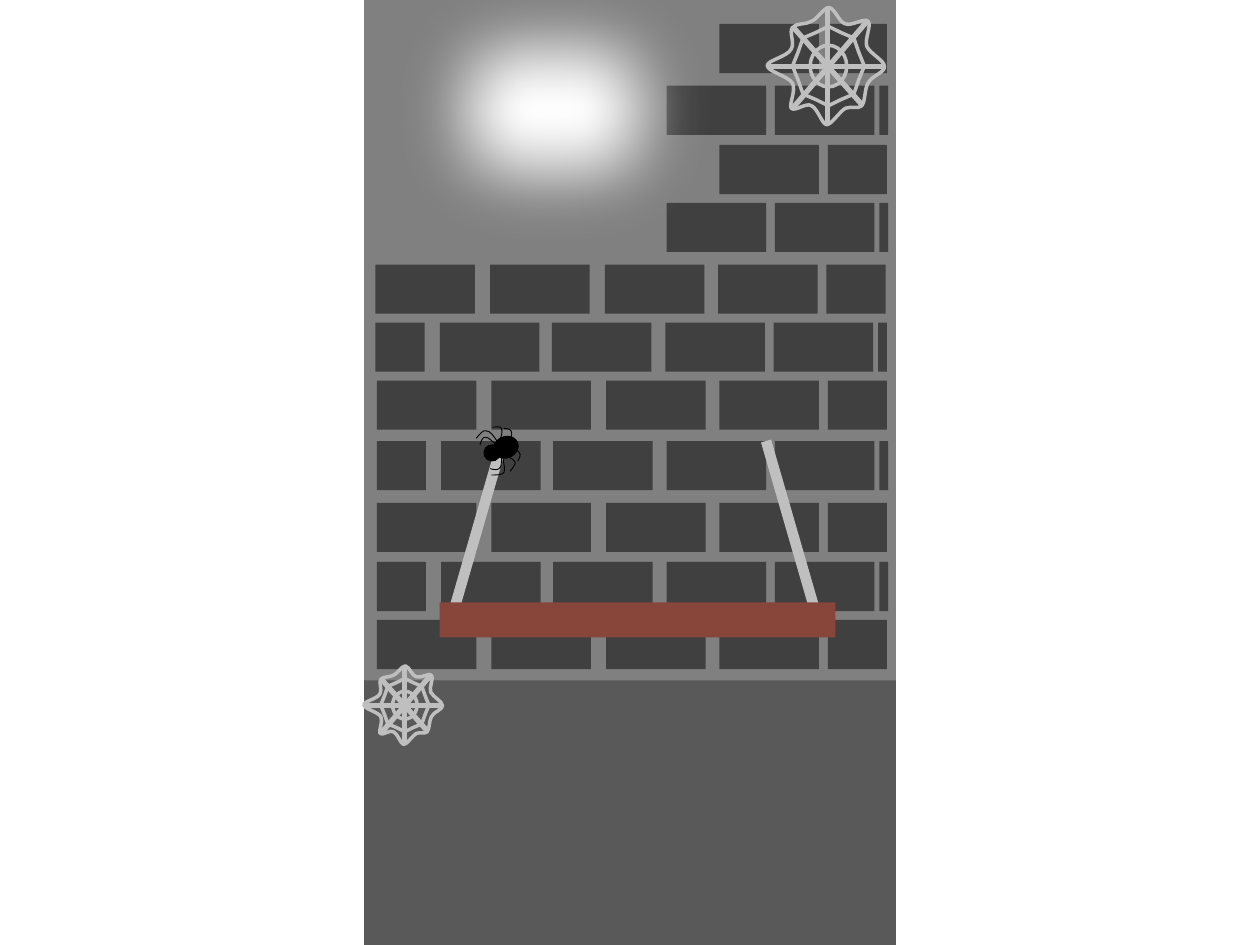
from pptx import Presentation
from pptx.dml.color import RGBColor
from pptx.enum.shapes import MSO_CONNECTOR, MSO_SHAPE
from pptx.oxml import parse_xml
from pptx.oxml.ns import nsdecls, qn
from pptx.util import Inches, Pt
from lxml import etree

MORTAR = RGBColor(0x80, 0x80, 0x80)
FLOOR = RGBColor(0x59, 0x59, 0x59)
BRICK = RGBColor(0x40, 0x40, 0x40)
SILK = RGBColor(0xBF, 0xBF, 0xBF)
WOOD = RGBColor(0x88, 0x46, 0x3A)
WHITE = RGBColor(0xFF, 0xFF, 0xFF)
BLACK = RGBColor(0, 0, 0)

STRAIGHT_ROW = [(2.99, 0.79), (3.9, 0.79), (4.81, 0.79), (5.71, 0.79), (6.57, 0.47)]
OFFSET_ROW = [(2.99, 0.39), (3.5, 0.79), (4.39, 0.79), (5.29, 0.79),
              (6.15, 0.79), (6.98, 0.07)]
ROW_TOPS = [4.92, 4.46, 3.99, 3.5, 3.02, 2.56, 2.1, 1.15, 1.61, 0.19, 0.68]
ROW_TOPS = sorted(ROW_TOPS, reverse=True)
WINDOW_BOTTOM = 2
WINDOW_RIGHT = 5.2

WEB_RIM = [
    (-0.28, -0.31), (-0.25, -0.35), (-0.18, -0.33), (-0.13, -0.36),
    (-0.08, -0.38), (-0.03, -0.47), (0.01, -0.47), (0.06, -0.46),
    (0.09, -0.35), (0.14, -0.34), (0.19, -0.32), (0.29, -0.39),
    (0.32, -0.36), (0.35, -0.33), (0.29, -0.22), (0.31, -0.16),
    (0.34, -0.1), (0.45, -0.05), (0.45, 0), (0.45, 0.05),
    (0.35, 0.07), (0.32, 0.13), (0.29, 0.18), (0.3, 0.27),
    (0.27, 0.31), (0.24, 0.34), (0.19, 0.31), (0.14, 0.33),
    (0.09, 0.36), (0.03, 0.46), (-0.01, 0.46), (-0.05, 0.45),
    (-0.08, 0.33), (-0.13, 0.31), (-0.17, 0.28), (-0.26, 0.36),
    (-0.29, 0.33), (-0.31, 0.3), (-0.25, 0.19), (-0.28, 0.13),
    (-0.32, 0.07), (-0.48, 0.04), (-0.48, -0.01), (-0.48, -0.05),
    (-0.32, -0.08), (-0.29, -0.14), (-0.26, -0.19), (-0.31, -0.28),
    (-0.28, -0.31),
]
WEB_SPOKES = [(-0.47, 0, 0.45, 0), (0, -0.46, 0, 0.45),
              (-0.28, 0.33, 0.32, -0.37), (-0.28, -0.32, 0.27, 0.3)]

SPIDER_LEGS = [
    [(3.99, 3.63), (4, 3.68), (4.01, 3.73), (4, 3.75), (3.99, 3.77), (3.94, 3.77), (3.9, 3.77)],
    [(4.02, 3.62), (4.05, 3.63), (4.08, 3.65), (4.09, 3.67), (4.09, 3.69), (4.07, 3.71), (4.05, 3.74)],
    [(4.04, 3.56), (4.07, 3.57), (4.11, 3.57), (4.12, 3.59), (4.14, 3.61), (4.12, 3.64), (4.11, 3.66)],
    [(3.95, 3.51), (3.92, 3.46), (3.89, 3.42), (3.86, 3.42), (3.84, 3.41), (3.81, 3.44), (3.78, 3.48)],
    [(3.97, 3.49), (3.98, 3.46), (3.99, 3.42), (3.98, 3.4), (3.97, 3.38), (3.94, 3.39), (3.91, 3.39)],
    [(4.03, 3.52), (4.05, 3.48), (4.07, 3.45), (4.06, 3.43), (4.06, 3.41), (4.03, 3.4), (4, 3.4)],
    [(3.93, 3.52), (3.9, 3.5), (3.88, 3.47), (3.85, 3.47), (3.83, 3.47), (3.82, 3.5), (3.81, 3.53)],
    [(3.98, 3.63), (3.98, 3.67), (3.98, 3.71), (3.96, 3.72), (3.95, 3.73), (3.92, 3.73), (3.89, 3.72)],
]


class Scene:
    def __init__(self, slide):
        self.shapes = slide.shapes

    def paint(self, shape, fill, line, width):
        shape.shadow.inherit = False
        if fill is None:
            shape.fill.background()
        else:
            shape.fill.solid()
            shape.fill.fore_color.rgb = fill
        if line is None:
            shape.line.fill.background()
        else:
            shape.line.color.rgb = line
            shape.line.width = Pt(width)
        return shape

    def shape(self, preset, left, top, width, height, fill=None, line=None, weight=1):
        shape = self.shapes.add_shape(
            preset, Inches(left), Inches(top), Inches(width), Inches(height))
        return self.paint(shape, fill, line, weight)

    def block(self, left, top, width, height, fill):
        return self.shape(MSO_SHAPE.RECTANGLE, left, top, width, height, fill)

    def line(self, x1, y1, x2, y2, weight):
        connector = self.shapes.add_connector(
            MSO_CONNECTOR.STRAIGHT, Inches(x1), Inches(y1), Inches(x2), Inches(y2))
        connector.line.color.rgb = SILK
        connector.line.width = Pt(weight)
        etree.SubElement(connector._element.spPr, qn("a:effectLst"))

    def curve(self, points, color, weight, closed=False):
        corners = [(Inches(x), Inches(y)) for x, y in points]
        builder = self.shapes.build_freeform(*corners[0])
        builder.add_line_segments(corners[1:], close=closed)
        outline = self.paint(builder.convert_to_shape(), None, color, weight)
        segments = list(outline._element.iter(qn("a:lnTo")))
        for start in range(0, len(points) - 1, 3):
            bezier = etree.Element(qn("a:cubicBezTo"))
            segments[start].addprevious(bezier)
            for segment in segments[start:start + 3]:
                bezier.append(segment[0])
                segment.getparent().remove(segment)

    def glow(self, left, top, width, height, softness):
        light = self.block(left, top, width, height, WHITE)
        effects = light._element.spPr.find(qn("a:effectLst"))
        effects.append(parse_xml(
            f'<a:softEdge {nsdecls("a")} rad="{Inches(softness)}"/>'))

    def web(self, x, y, scale):
        star = self.shape(MSO_SHAPE.STAR_8_POINT, x - 0.28 * scale, y - 0.32 * scale,
                          0.57 * scale, 0.63 * scale, line=SILK, weight=2)
        star.adjustments[0] = 0.457
        self.shape(MSO_SHAPE.OVAL, x - 0.14 * scale, y - 0.17 * scale,
                   0.29 * scale, 0.33 * scale, line=SILK, weight=2)
        for x1, y1, x2, y2 in WEB_SPOKES:
            self.line(x + x1 * scale, y + y1 * scale, x + x2 * scale, y + y2 * scale, 3)
        rim = [(x + dx * scale, y + dy * scale) for dx, dy in WEB_RIM]
        self.curve(rim, SILK, 2, closed=True)

    def spider(self):
        for left, top, width, height in [(3.84, 3.53, 0.13, 0.13), (3.93, 3.45, 0.17, 0.2)]:
            body = self.shape(MSO_SHAPE.OVAL, left, top, width, height, BLACK, BLACK, 0.5)
            body.rotation = 66.4
        for leg in SPIDER_LEGS:
            self.curve(leg, BLACK, 0.5)


presentation = Presentation()
presentation.slide_width = Inches(10)
presentation.slide_height = Inches(7.5)
scene = Scene(presentation.slides.add_slide(presentation.slide_layouts[6]))

scene.block(2.89, 0, 4.22, 7.4, MORTAR)
scene.block(2.89, 5.4, 4.22, 2.1, FLOOR)
for index, top in enumerate(ROW_TOPS):
    for left, width in OFFSET_ROW if index % 2 else STRAIGHT_ROW:
        if top > WINDOW_BOTTOM or left > WINDOW_RIGHT:
            nudge = 0.01 if top in (2.56, 2.1) else 0
            scene.block(left - nudge, top, width, 0.39, BRICK)

scene.glow(2.8, -0.51, 3.18, 2.77, 0.69)
scene.line(3.58, 4.92, 3.99, 3.5, 6)
scene.line(6.49, 4.92, 6.08, 3.5, 6)
scene.block(3.49, 4.78, 3.14, 0.28, WOOD)
scene.web(6.57, 0.53, 1)
scene.spider()
scene.web(3.21, 5.6, 0.67)

presentation.save("out.pptx")
